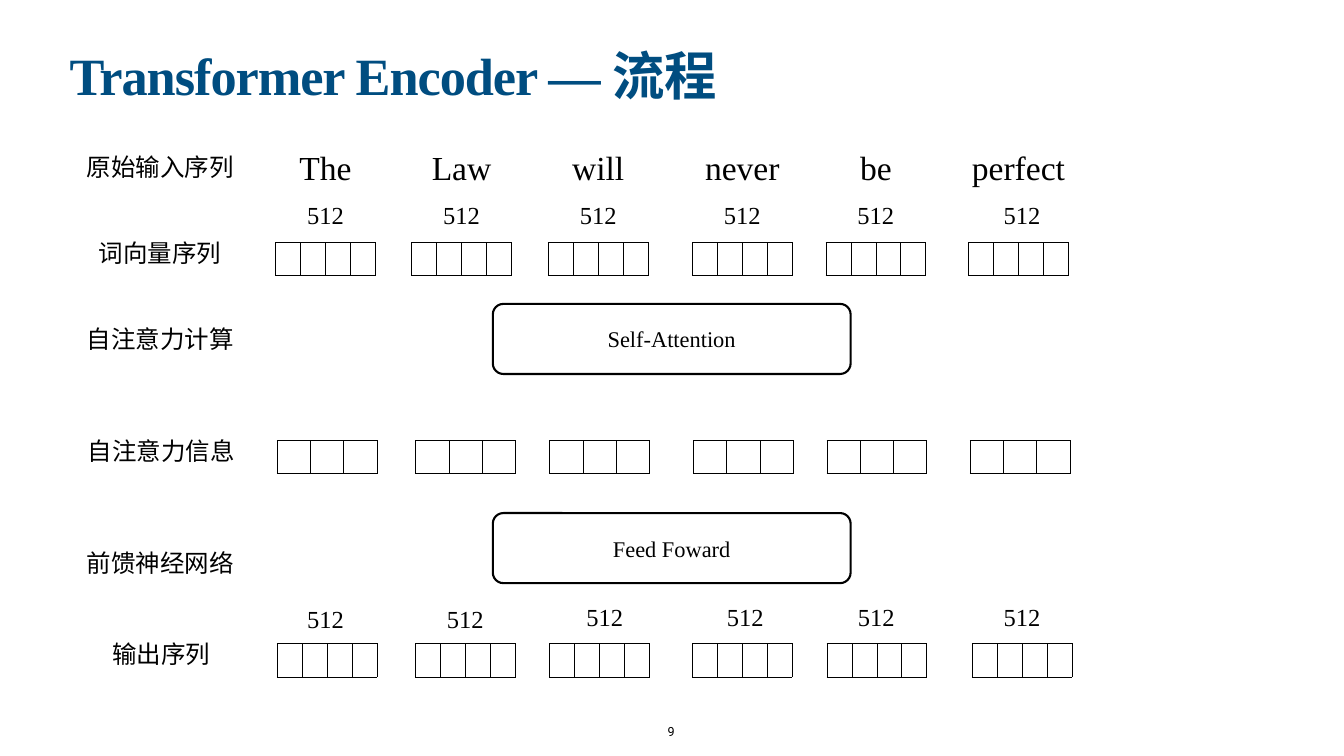
import lxml.etree
import pptx
import pptx.dml.color
import pptx.enum.shapes
import pptx.enum.text
import pptx.oxml.ns
import pptx.util

Inches = pptx.util.Inches
Pt = pptx.util.Pt
RGBColor = pptx.dml.color.RGBColor
ANCHOR = pptx.enum.text.MSO_ANCHOR
ALIGN = pptx.enum.text.PP_ALIGN
qn = pptx.oxml.ns.qn

BLACK = RGBColor(0, 0, 0)
WHITE = RGBColor(255, 255, 255)
BLUE = RGBColor(0x00, 0x4D, 0x80)
SERIF = "Times New Roman"
SANS = "Roboto"
VECTOR_W = 1.98
VECTOR_H = 0.66

WORDS = [
    ("The", 1.16), ("Law", 1.31), ("will", 1.16),
    ("never", 1.61), ("be", 0.75), ("perfect", 1.98),
]
INPUT_CENTERS = [6.46, 9.16, 11.87, 14.73, 17.38, 20.21]
INPUT_SIZE_CENTERS = INPUT_CENTERS[:5] + [20.28]
ATTENTION_CENTERS = [6.49, 9.24, 11.9, 14.75, 17.4, 20.24]
OUTPUT_CENTERS = [6.49, 9.24, 11.9, 14.73, 17.4, 20.28]
OUTPUT_SIZE_CENTERS = [6.46, 9.23, 12, 14.79, 17.39, 20.28]
OUTPUT_SIZE_TOPS = [11.96] * 2 + [11.91] * 4
STAGES = [
    ("原始输入序列", 3.18, 2.91),
    ("词向量序列", 3.18, 4.62),
    ("自注意力计算", 3.18, 6.33),
    ("自注意力信息", 3.2, 8.55),
    ("前馈神经网络", 3.18, 10.77),
    ("输出序列", 3.2, 12.58),
]


def set_frame(tf, anchor, wrap):
    tf.margin_left = tf.margin_right = Inches(0.06)
    tf.margin_top = tf.margin_bottom = Inches(0.06)
    tf.vertical_anchor = anchor
    tf.word_wrap = wrap


def add_run(p, text, size, font, color=BLACK):
    r = p.add_run()
    r.text = text
    r.font.size = Pt(size)
    r.font.name = font
    r.font.color.rgb = color
    lxml.etree.SubElement(r.font._element, qn("a:ea"), typeface=font)
    return r


def add_title(s, left, top, width, height):
    sp = s.shapes.add_textbox(Inches(left), Inches(top), Inches(width), Inches(height))
    set_frame(sp.text_frame, ANCHOR.TOP, True)
    p = sp.text_frame.paragraphs[0]
    p.line_spacing = 0.8
    for text, font in (("Transformer Encoder — ", SERIF), ("流程", SANS)):
        r = add_run(p, text, 74.8, font, BLUE)
        r.font.bold = True
        r.font._element.set("spc", "-150")


def add_label(s, text, center, top, width, height, size, font, anchor=ANCHOR.MIDDLE):
    sp = s.shapes.add_textbox(
        Inches(center - width / 2), Inches(top), Inches(width), Inches(height)
    )
    set_frame(sp.text_frame, anchor, False)
    sp.text_frame.auto_size = pptx.enum.text.MSO_AUTO_SIZE.SHAPE_TO_FIT_TEXT
    p = sp.text_frame.paragraphs[0]
    p.alignment = ALIGN.CENTER
    add_run(p, text, size, font)


def add_borders(cell):
    tcPr = cell._tc.get_or_add_tcPr()
    for side in ("L", "R", "T", "B"):
        ln = lxml.etree.SubElement(tcPr, qn(f"a:ln{side}"), w=str(Pt(1)))
        fill = lxml.etree.SubElement(ln, qn("a:solidFill"))
        lxml.etree.SubElement(fill, qn("a:srgbClr"), val=str(BLACK))


def add_vector(s, center, top, cells):
    table = s.shapes.add_table(
        1, cells, Inches(center - VECTOR_W / 2), Inches(top),
        Inches(VECTOR_W), Inches(VECTOR_H),
    ).table
    table.first_row = table.horz_banding = False
    for cell in table.iter_cells():
        add_borders(cell)
        cell.fill.solid()
        cell.fill.fore_color.rgb = WHITE


def add_vector_row(s, centers, top, cells):
    for center in centers:
        add_vector(s, center, top, cells)


def add_size_row(s, centers, tops):
    for center, top in zip(centers, tops):
        add_label(s, "512", center, top, 0.85, 0.65, 35, SERIF)


def add_layer(s, text, left, top, width, height):
    sp = s.shapes.add_shape(
        pptx.enum.shapes.MSO_SHAPE.ROUNDED_RECTANGLE,
        Inches(left), Inches(top), Inches(width), Inches(height),
    )
    sp.adjustments[0] = 0.15
    sp.shadow.inherit = False
    sp.fill.solid()
    sp.fill.fore_color.rgb = WHITE
    sp.line.color.rgb = BLACK
    sp.line.width = Pt(3)
    set_frame(sp.text_frame, ANCHOR.MIDDLE, True)
    p = sp.text_frame.paragraphs[0]
    p.alignment = ALIGN.CENTER
    add_run(p, text, 32, SERIF)


def main():
    prs = pptx.Presentation()
    prs.slide_width = Inches(26.67)
    prs.slide_height = Inches(15)
    s = prs.slides.add_slide(prs.slide_layouts[6])

    add_title(s, 1.32, 1.04, 24.03, 1.57)
    for text, center, top in STAGES:
        add_label(s, text, center, top, 0.13 + 0.486 * len(text), 0.79, 35, SANS)
    for (word, width), center in zip(WORDS, INPUT_CENTERS):
        add_label(s, word, center, 2.88, width, 0.85, 48, SERIF)
    add_size_row(s, INPUT_SIZE_CENTERS, [3.94] * 6)
    add_vector_row(s, INPUT_CENTERS, 4.81, 4)
    add_layer(s, "Self-Attention", 9.78, 6.03, 7.1, 1.39)
    add_vector_row(s, ATTENTION_CENTERS, 8.74, 3)
    add_layer(s, "Feed Foward", 9.78, 10.18, 7.1, 1.39)
    add_size_row(s, OUTPUT_SIZE_CENTERS, OUTPUT_SIZE_TOPS)
    add_vector_row(s, OUTPUT_CENTERS, 12.77, 4)
    add_label(s, "9", 13.32, 14.31, 0.26, 0.41, 18, SANS, ANCHOR.BOTTOM)

    prs.save("out.pptx")


if __name__ == "__main__":
    main()
